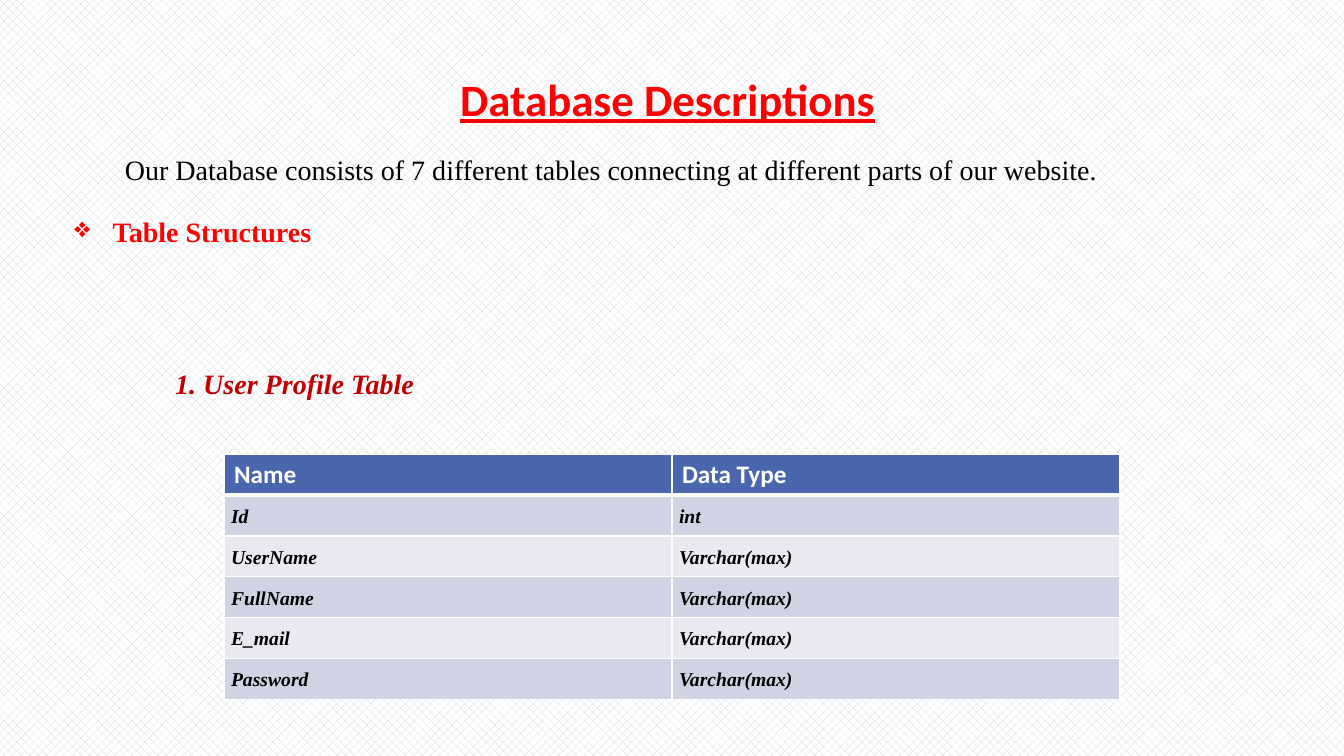
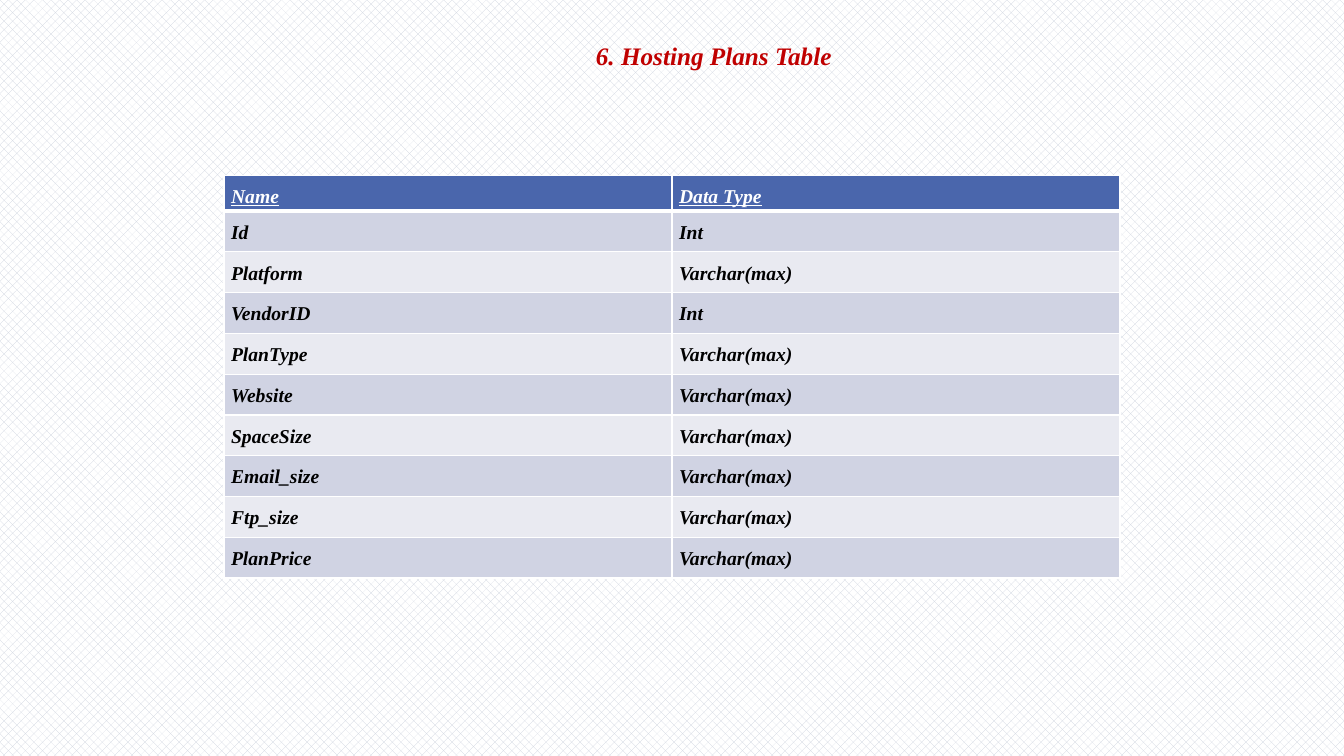
from lxml import etree
from pptx import Presentation
from pptx import util as u
from pptx.dml.color import RGBColor
from pptx.enum import dml, text
from pptx.oxml.ns import qn

RED = RGBColor(0xFF, 0x00, 0x00)
DARK_RED = RGBColor(0xC0, 0x00, 0x00)
BLACK = RGBColor(0x00, 0x00, 0x00)
WHITE = RGBColor(0xFF, 0xFF, 0xFF)
WEAVE = RGBColor(0xCC, 0xD2, 0xDD)
HEADER = RGBColor(0x4A, 0x66, 0xAC)
BANDS = [RGBColor(0xE9, 0xEA, 0xF1), RGBColor(0xD0, 0xD3, 0xE3)]
SERIF, SANS = "Times New Roman", "Calibri"

prs = Presentation()
prs.slide_width, prs.slide_height = u.Inches(13.33), u.Inches(7.5)
W, H = prs.slide_width, prs.slide_height
ROW = int(H * 0.054)

# Shared woven background
fill = prs.slide_master.background.fill
fill.patterned()
fill.pattern = dml.MSO_PATTERN.WEAVE
fill.fore_color.rgb, fill.back_color.rgb = WEAVE, WHITE


def add_text(p, words, size, color, name=SERIF, bold=False, italic=False,
             underline=False, left=0, bullet=None):
    """Add one run; serif paragraphs are justified with open line spacing."""
    pPr = p._p.get_or_add_pPr()
    pPr.set("marL", str(u.Inches(left)))
    pPr.set("indent", str(u.Inches(-left if bullet else 0)))
    if bullet:
        etree.SubElement(pPr, qn("a:buChar")).set("char", bullet)
    if name == SERIF:
        p.alignment, p.line_spacing = text.PP_ALIGN.JUSTIFY, 1.5
    r = p.add_run()
    r.text = words
    f = r.font
    f.name, f.size, f.color.rgb = name, u.Pt(size), color
    f.bold, f.italic, f.underline = bold, italic, underline


def add_grid(s, top, head_height, rows, head_style):
    """Add a two-column table with white rules and banded rows."""
    height = head_height + ROW * len(rows)
    tbl = s.shapes.add_table(len(rows) + 1, 2, int(W / 6), int(H * top),
                             int(W * 2 / 3), height).table
    for i, values in enumerate([("Name", "Data Type")] + rows):
        tbl.rows[i].height = ROW if i else head_height
        for j, value in enumerate(values):
            cell = tbl.cell(i, j)
            style = head_style if i == 0 else dict(size=14, color=BLACK, bold=True, italic=True)
            if style.get("name", SERIF) == SERIF:
                cell.margin_left = cell.margin_right = u.Inches(0.07)
                cell.margin_top = cell.margin_bottom = 0
            # White borders, heavier under the header
            tcPr = cell._tc.get_or_add_tcPr()
            for side in "LRTB":
                heavy = (i, side) in [(0, "B"), (1, "T")]
                ln = etree.SubElement(tcPr, qn("a:ln" + side), w=str(u.Pt(3 if heavy else 1)))
                solid = etree.SubElement(ln, qn("a:solidFill"))
                etree.SubElement(solid, qn("a:srgbClr"), val=str(WHITE))
            cell.fill.solid()
            cell.fill.fore_color.rgb = BANDS[i % 2] if i else HEADER
            add_text(cell.text_frame.paragraphs[0], value, **style)


# Slide 1: database overview
s = prs.slides.add_slide(prs.slide_layouts[6])
tf = s.shapes.add_textbox(int(W * 0.335), int(H * 0.088), int(W * 0.33), int(H * 0.085)).text_frame
tf.word_wrap = True
add_text(tf.paragraphs[0], "Database Descriptions", 32, RED, SANS, bold=True, underline=True)

tf = s.shapes.add_textbox(int(W * 0.048), int(H * 0.173), int(W * 0.9), int(H * 0.45)).text_frame
tf.word_wrap = True
p = tf.paragraphs[0]
add_text(p, "Our Database consists of 7 different tables connecting at different parts of our website.",
         20, BLACK, left=0.5)
p.space_after = u.Pt(8)
add_text(tf.add_paragraph(), "Table Structures", 20, RED, bold=True, left=0.38, bullet="❖")
p = tf.add_paragraph()
add_text(p, "1. User Profile Table", 20, DARK_RED, bold=True, italic=True, left=1)
p.space_before = u.Pt(73)

add_grid(s, 0.601, ROW, [
    ("Id", "int"),
    ("UserName", "Varchar(max)"),
    ("FullName", "Varchar(max)"),
    ("E_mail", "Varchar(max)"),
    ("Password", "Varchar(max)"),
], dict(size=18, color=WHITE, name=SANS, bold=True))

# Slide 2: hosting plans
s = prs.slides.add_slide(prs.slide_layouts[6])
tf = s.shapes.add_textbox(int(W * 0.361), int(H * 0.027), int(W * 0.28), int(H * 0.075)).text_frame
tf.word_wrap = True
add_text(tf.paragraphs[0], "6. Hosting Plans Table", 18, DARK_RED, bold=True, italic=True, left=1)

add_grid(s, 0.232, int(H * 0.047), [
    ("Id", "Int"),
    ("Platform", "Varchar(max)"),
    ("VendorID", "Int"),
    ("PlanType", "Varchar(max)"),
    ("Website", "Varchar(max)"),
    ("SpaceSize", "Varchar(max)"),
    ("Email_size", "Varchar(max)"),
    ("Ftp_size", "Varchar(max)"),
    ("PlanPrice", "Varchar(max)"),
], dict(size=14, color=WHITE, bold=True, italic=True, underline=True))

prs.save("out.pptx")
